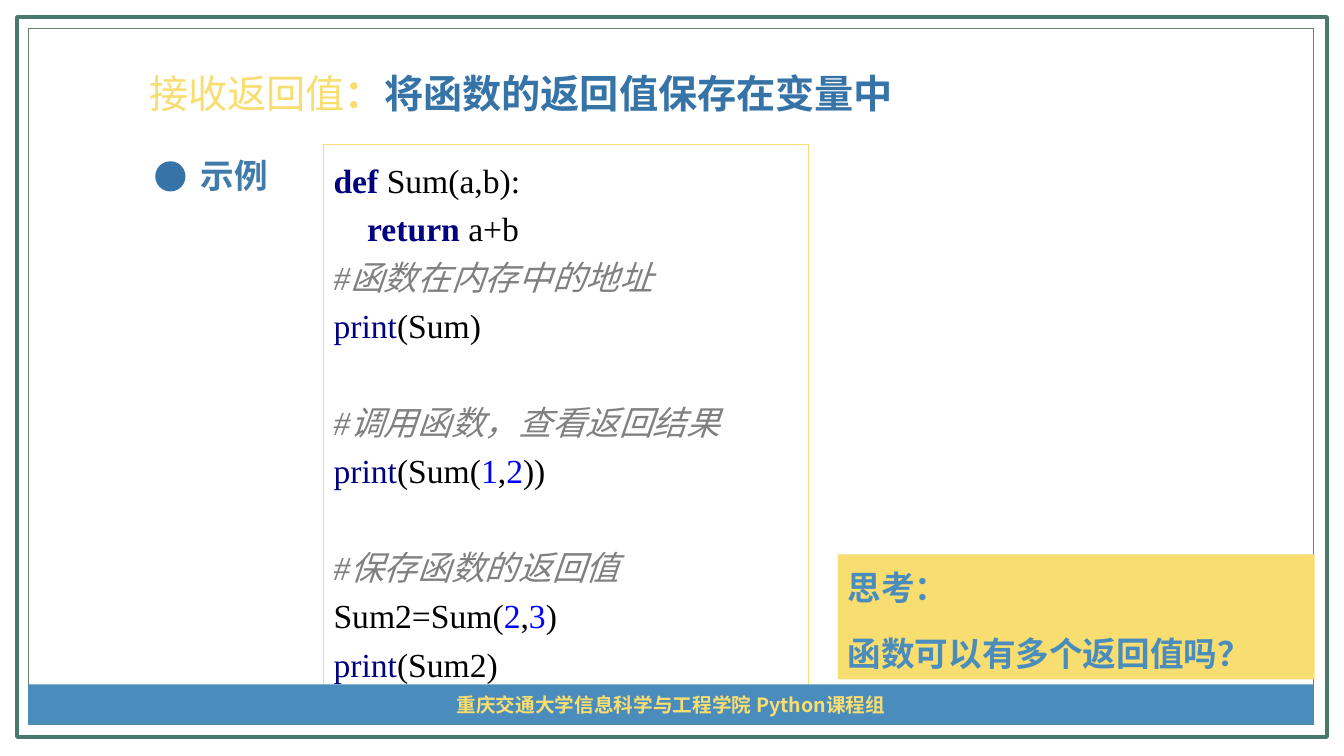
import pptx
import pptx.util
import pptx.dml.color
import pptx.enum.shapes
import pptx.enum.text
import lxml.etree

Inches = pptx.util.Inches
Pt = pptx.util.Pt
SHAPE = pptx.enum.shapes.MSO_SHAPE
ANCHOR = pptx.enum.text.MSO_ANCHOR
ALIGN = pptx.enum.text.PP_ALIGN
CJK = "Noto Sans CJK SC"
YELLOW, BLUE, BAR_BLUE = "F8DD71", "3673A6", "4A8CBC"
NAVY, BLACK, GRAY, NUMBER = "000080", "000000", "808080", "0000FF"


def paint(target, color):
    if hasattr(target, "solid"):
        target.solid()
        target = target.fore_color
    target.rgb = pptx.dml.color.RGBColor.from_string(color)


def block(shape_type, left, top, width, height, fill=None, line=None, weight=1):
    shape = slide.shapes.add_shape(shape_type, Inches(left), Inches(top), Inches(width), Inches(height))
    shape.shadow.inherit = False
    if fill:
        paint(shape.fill, fill)
    else:
        shape.fill.background()
    if line:
        paint(shape.line.fill, line)
        shape.line.width = Pt(weight)
    else:
        shape.line.fill.background()
    shape.text_frame.word_wrap = True
    return shape


deck = pptx.Presentation()
deck.slide_width, deck.slide_height = Inches(13.33), Inches(7.5)
slide = deck.slides.add_slide(deck.slide_layouts[5])

block(SHAPE.RECTANGLE, 0.17, 0.17, 12.99, 7.14, line="49786D", weight=3)
block(SHAPE.RECTANGLE, 0.28, 0.28, 12.75, 6.91, line="64846E", weight=0.5)

title = slide.shapes.title
title.left, title.top, title.width, title.height = Inches(1.38), Inches(0.64), Inches(11.38), Inches(1.04)
title.text_frame.auto_size = pptx.enum.text.MSO_AUTO_SIZE.NONE
title.text_frame.vertical_anchor = ANCHOR.TOP
heading = title.text_frame.paragraphs[0]
heading.alignment = ALIGN.LEFT
heading.font.size = Pt(28)
heading.font.name = CJK
for text, color, bold in [("接收返回值", YELLOW, False), ("：", YELLOW, True), ("将函数的返回值保存在变量中", BLUE, True)]:
    run = heading.add_run()
    run.text = text
    run.font.bold = bold
    paint(run.font.color, color)

code_lines = [
    [("def ", NAVY), ("Sum(a,b):", BLACK)],
    [("    ", BLACK), ("return ", NAVY), ("a+b", BLACK)],
    [("#函数在内存中的地址", GRAY)],
    [("print", NAVY), ("(Sum)", BLACK)],
    [],
    [("#调用函数，查看返回结果", GRAY)],
    [("print", NAVY), ("(Sum(", BLACK), ("1", NUMBER), (",", BLACK), ("2", NUMBER), ("))", BLACK)],
    [],
    [("#保存函数的返回值", GRAY)],
    [("Sum2=Sum(", BLACK), ("2", NUMBER), (",", BLACK), ("3", NUMBER), (")", BLACK)],
    [("print", NAVY), ("(Sum2)", BLACK)],
]
code = block(SHAPE.RECTANGLE, 3.21, 1.43, 4.81, 5.43, "FFFFFF", YELLOW, 0.75)
code.text_frame.vertical_anchor = ANCHOR.MIDDLE
listing = code.text_frame.paragraphs[0]
listing.alignment = ALIGN.LEFT
listing.line_spacing = 1.2
listing.font.size = Pt(24)
listing.font.name = "Times New Roman"
for number, code_line in enumerate(code_lines):
    if number:
        listing.add_line_break()
    for text, color in code_line:
        run = listing.add_run()
        run.text = text
        run.font.bold = text in ("def ", "return ")
        run.font.italic = color == GRAY
        paint(run.font.color, color)

question = block(SHAPE.RECTANGLE, 8.31, 5.5, 4.73, 1.24, YELLOW)
block(SHAPE.OVAL, 1.54, 1.6, 0.3, 0.3, BLUE)
example = slide.shapes.add_textbox(Inches(1.89), Inches(1.49), Inches(1.04), Inches(0.5))
example.text_frame.word_wrap = True
footer = block(SHAPE.RECTANGLE, 0.28, 6.79, 12.75, 0.4, BAR_BLUE)

question.text_frame.vertical_anchor = ANCHOR.TOP
for box, text, font, size, color, align, spacing in [
    (question, "思考：\n函数可以有多个返回值吗？", "Arial", 24, BAR_BLUE, ALIGN.LEFT, 1.2),
    (example, "示例", CJK, 24, "417BAA", ALIGN.LEFT, 1),
    (footer, "重庆交通大学信息科学与工程学院 Python课程组", CJK, 14, YELLOW, ALIGN.CENTER, 1),
]:
    box.text_frame.text = text
    for paragraph in box.text_frame.paragraphs:
        paragraph.alignment = align
        paragraph.line_spacing = spacing
        if box is not footer:
            paragraph.space_before = Pt(12)
        paragraph.font.size = Pt(size)
        paragraph.font.name = font
        paragraph.font.bold = True
        paint(paragraph.font.color, color)

for shape in slide.shapes:
    for latin in list(shape._element.iter("{*}latin")):
        east_asian = lxml.etree.Element(latin.tag.replace("latin", "ea"), typeface=CJK)
        latin.addnext(east_asian)

deck.save("out.pptx")
